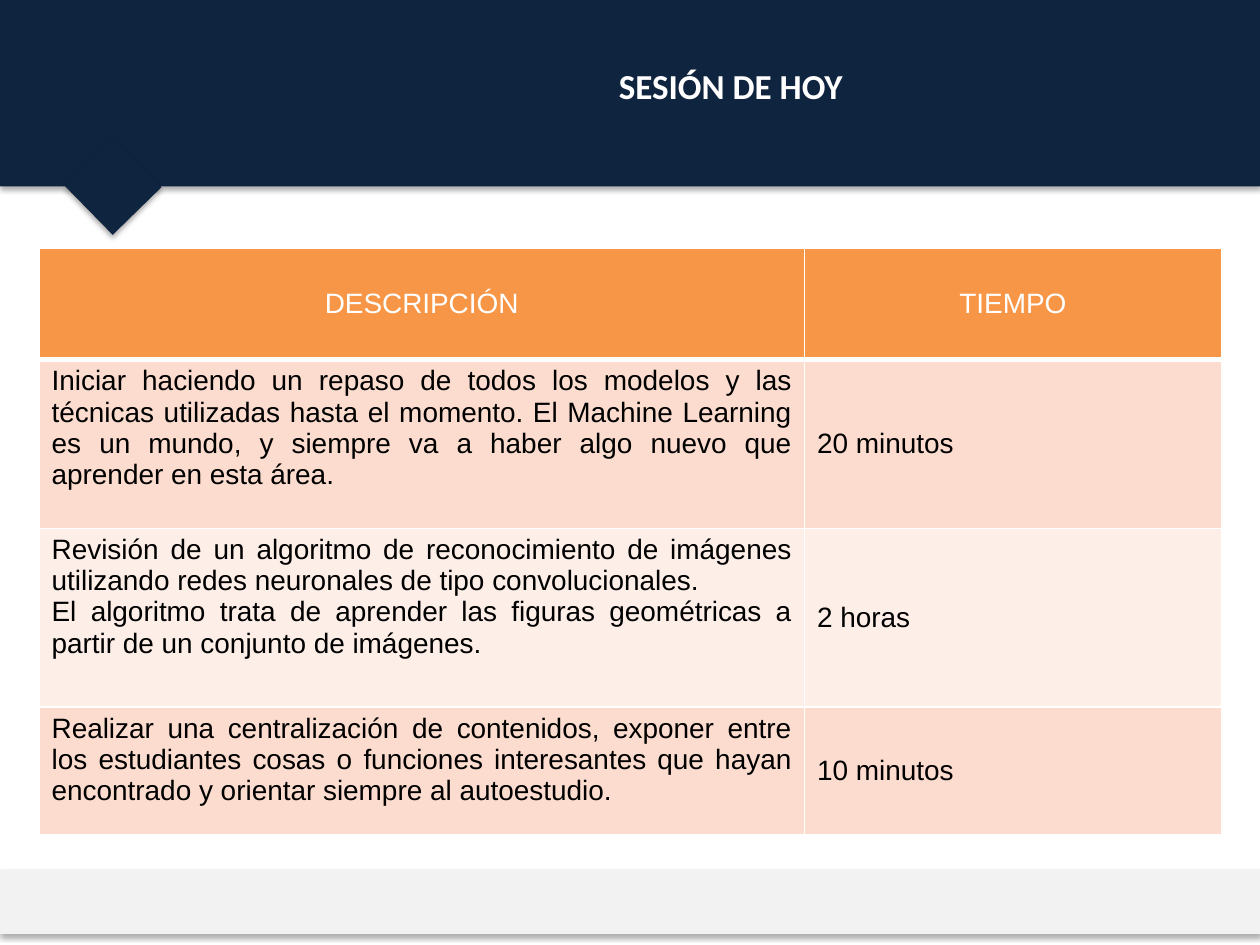
from lxml import etree
from pptx import Presentation
from pptx.dml.color import RGBColor
from pptx.enum.shapes import MSO_SHAPE
from pptx.enum.text import MSO_ANCHOR, MSO_AUTO_SIZE, PP_ALIGN
from pptx.oxml.ns import qn
from pptx.util import Pt

RECTANGLE = MSO_SHAPE.RECTANGLE
TOP, MIDDLE = MSO_ANCHOR.TOP, MSO_ANCHOR.MIDDLE
CENTER, JUSTIFY = PP_ALIGN.CENTER, PP_ALIGN.JUSTIFY
FIT_SHAPE = MSO_AUTO_SIZE.SHAPE_TO_FIT_TEXT

COLORS = {
    "navy": "0F243E",
    "footer": "F2F2F2",
    "orange": "F79646",
    "band_dark": "FCDCCE",
    "band_light": "FDEEE8",
    "white": "FFFFFF",
    "black": "000000",
}
COLUMN_WIDTHS = [437.4, 238.3]
ROW_HEIGHTS = [63.4, 96.5, 102.2, 72.7]
SESSION_ROWS = [
    (["DESCRIPCIÓN"], ["TIEMPO"]),
    (["Iniciar haciendo un repaso de todos los modelos y las técnicas utilizadas "
      "hasta el momento. El Machine Learning es un mundo, y siempre va a haber algo "
      "nuevo que aprender en esta área."], ["20 minutos"]),
    (["Revisión de un algoritmo de reconocimiento de imágenes utilizando redes "
      "neuronales de tipo convolucionales.",
      "El algoritmo trata de aprender las figuras geométricas a partir de un "
      "conjunto de imágenes."], ["2 horas"]),
    (["Realizar una centralización de contenidos, exponer entre los estudiantes "
      "cosas o funciones interesantes que hayan encontrado y orientar siempre al "
      "autoestudio."], ["10 minutos"]),
]


def rgb(name):
    """Return the named colour."""
    return RGBColor.from_string(COLORS[name])


def add_shadow(shape):
    """Give a shape a soft shadow that falls straight down."""
    shape.shadow.inherit = False
    effects = shape._element.spPr.find(qn("a:effectLst"))
    shadow = etree.SubElement(effects, qn("a:outerShdw"), blurRad=str(Pt(3.1)),
                              dist=str(Pt(1.8)), dir="5400000", rotWithShape="0")
    tint = etree.SubElement(shadow, qn("a:srgbClr"), val=COLORS["black"])
    etree.SubElement(tint, qn("a:alpha"), val="33000")


def add_block(slide, left, top, width, height, color, rotation=0):
    """Add a filled rectangle without outline."""
    block = slide.shapes.add_shape(RECTANGLE, Pt(left), Pt(top), Pt(width), Pt(height))
    block.fill.solid()
    block.fill.fore_color.rgb = rgb(color)
    block.line.fill.background()
    block.rotation = rotation
    add_shadow(block)


def write_text(frame, lines, align, size, font, color, bold=False):
    """Write one paragraph for each line."""
    for index, line in enumerate(lines):
        para = frame.add_paragraph() if index else frame.paragraphs[0]
        para.alignment = align
        span = para.add_run()
        span.text = line
        span.font.size = Pt(size)
        span.font.name = font
        span.font.bold = bold
        span.font.color.rgb = rgb(color)


def add_title(slide):
    """Add the slide heading."""
    box = slide.shapes.add_textbox(Pt(160.6), Pt(33.1), Pt(514), Pt(31.5))
    box.text_frame.word_wrap = True
    box.text_frame.auto_size = FIT_SHAPE
    write_text(box.text_frame, ["SESIÓN DE HOY"], CENTER, 20, "Calibri", "white", True)


def set_borders(cell, top, bottom):
    """Draw white borders around a cell."""
    properties = cell._tc.get_or_add_tcPr()
    for side, width in (("L", 1), ("R", 1), ("T", top), ("B", bottom)):
        line = etree.SubElement(properties, qn(f"a:ln{side}"), w=str(Pt(width)))
        fill = etree.SubElement(line, qn("a:solidFill"))
        etree.SubElement(fill, qn("a:srgbClr"), val=COLORS["white"])


def style_cell(cell, row, column):
    """Set the borders, fill and anchor of a cell by its place."""
    set_borders(cell, 3 if row == 1 else 1, 3 if row == 0 else 1)
    band = "band_dark" if row % 2 else "band_light"
    cell.fill.solid()
    cell.fill.fore_color.rgb = rgb(band if row else "orange")
    cell.vertical_anchor = TOP if row and column == 0 else MIDDLE


def add_schedule(slide):
    """Add the table of activities and times."""
    table = slide.shapes.add_table(
        len(ROW_HEIGHTS), len(COLUMN_WIDTHS), Pt(22.3), Pt(142),
        Pt(sum(COLUMN_WIDTHS)), Pt(sum(ROW_HEIGHTS))).table
    for column, width in zip(table.columns, COLUMN_WIDTHS):
        column.width = Pt(width)
    for row, height in zip(table.rows, ROW_HEIGHTS):
        row.height = Pt(height)
    for row, texts in enumerate(SESSION_ROWS):
        for column, lines in enumerate(texts):
            cell = table.cell(row, column)
            style_cell(cell, row, column)
            write_text(cell.text_frame, lines, JUSTIFY if row else CENTER, 16,
                       "Arial", "black" if row else "white")


def main():
    """Build and save the slide."""
    deck = Presentation()
    deck.slide_width, deck.slide_height = Pt(720), Pt(540)
    slide = deck.slides.add_slide(deck.slide_layouts[6])
    add_block(slide, 0, 0, 720, 106.5, "navy")
    add_block(slide, 0, 497, 720, 36.7, "footer")
    add_block(slide, 45.2, 87.2, 39, 39, "navy", 45.6)
    add_title(slide)
    add_schedule(slide)
    deck.save("out.pptx")


if __name__ == "__main__":
    main()
